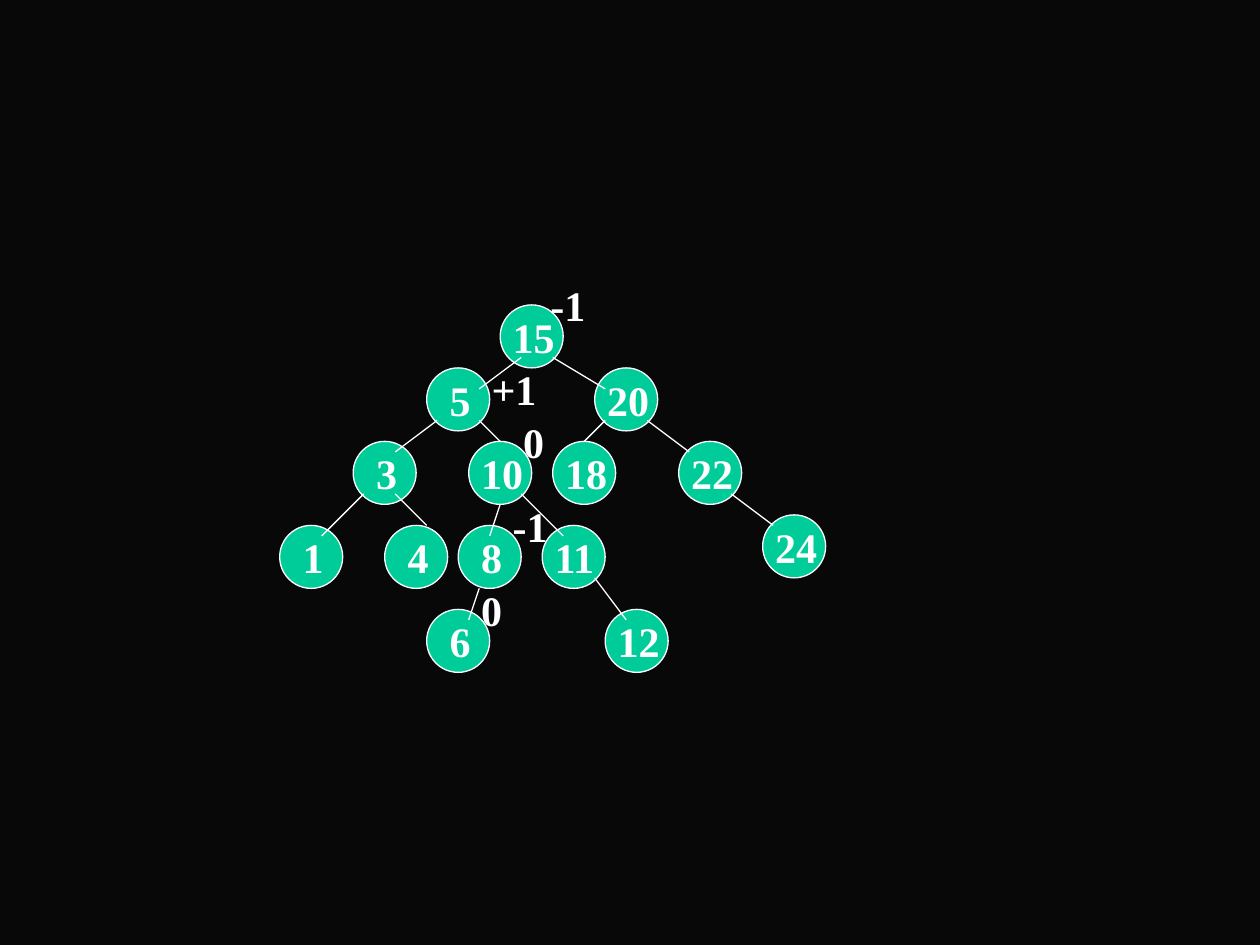
from lxml.etree import SubElement
from pptx import Presentation
from pptx.dml.color import RGBColor
from pptx.enum.shapes import MSO_CONNECTOR as Connector, MSO_SHAPE as Shape
from pptx.enum.text import MSO_AUTO_SIZE as AutoSize
from pptx.oxml.ns import qn
from pptx.util import Inches, Pt

COLORS = {"background": "080808", "node": "00CC99", "ink": "FFFFFF"}
FONT = "Times New Roman"

# Keys with their column and row on the tree grid
NODES = {
    "15": (21, 0), "5": (14, 6), "3": (7, 13), "1": (0, 21),
    "20": (30, 6), "22": (38, 13), "24": (46, 20), "10": (18, 13),
    "18": (26, 13), "4": (10, 21), "8": (17, 21), "11": (25, 21),
    "12": (31, 29), "6": (14, 29),
}
# Start and end of each branch on the same grid
BRANCHES = [
    ((26, 5), (31, 8)), ((35, 11), (39, 14)), ((43, 18), (47, 21)),
    ((23, 5), (19, 8)), ((15, 11), (11, 14)), ((8, 18), (4, 22)),
    ((19, 11), (21, 13)), ((31, 11), (29, 13)), ((11, 18), (14, 21)),
    ((21, 19), (20, 22)), ((23, 18), (27, 22)), ((30, 26), (33, 30)),
    ((19, 27), (18, 30)),
]
BALANCES = [
    ("+1", (19, 5)), ("0", (18, 26)), ("-1", (21, 18)),
    ("0", (22, 10)), ("-1", (24.6, -3)),
]

CELL = Inches(1) / 12
LEFT, TOP = Inches(2.22), Inches(2.42)
DIAMETER = Inches(0.5)
PADDING = 0.2
GLYPH_WIDTHS = {"+": 0.19, "-": 0.11}
DIGIT_WIDTH = 0.17


def color(name):
    return RGBColor.from_string(COLORS[name])


def place(cell):
    column, row = cell
    return round(LEFT + column * CELL), round(TOP + row * CELL)


def style_line(line):
    line.color.rgb = color("ink")
    line.width = Pt(0.75)


def add_node(shapes, cell):
    node = shapes.add_shape(Shape.FLOWCHART_CONNECTOR, *place(cell), DIAMETER, DIAMETER)
    node.shadow.inherit = False
    node.fill.solid()
    node.fill.fore_color.rgb = color("node")
    style_line(node.line)


def add_branch(shapes, start, end):
    branch = shapes.add_connector(Connector.STRAIGHT, *place(start), *place(end))
    style_line(branch.line)
    SubElement(branch._element.spPr, qn("a:effectLst"))


def add_label(shapes, text, cell):
    width = PADDING + sum(GLYPH_WIDTHS.get(glyph, DIGIT_WIDTH) for glyph in text)
    label = shapes.add_textbox(*place(cell), Inches(width), DIAMETER)
    frame = label.text_frame
    frame.text = text
    frame.word_wrap = False
    frame.auto_size = AutoSize.SHAPE_TO_FIT_TEXT
    font = frame.paragraphs[0].runs[0].font
    font.name, font.size, font.bold = FONT, Pt(24), True
    font.color.rgb = color("ink")


def main():
    deck = Presentation()
    deck.slide_width, deck.slide_height = Inches(10), Inches(7.5)
    slide = deck.slides.add_slide(deck.slide_layouts[6])
    slide.background.fill.solid()
    slide.background.fill.fore_color.rgb = color("background")

    tree = slide.shapes.add_group_shape().shapes
    for cell in NODES.values():
        add_node(tree, cell)
    for start, end in BRANCHES:
        add_branch(tree, start, end)
    for key in sorted(NODES, key=int):
        column, row = NODES[key]
        indent = 1 if len(key) == 1 else 0
        add_label(tree, key, (column + indent, row))
    for balance, cell in BALANCES:
        add_label(tree, balance, cell)

    deck.save("out.pptx")


if __name__ == "__main__":
    main()
